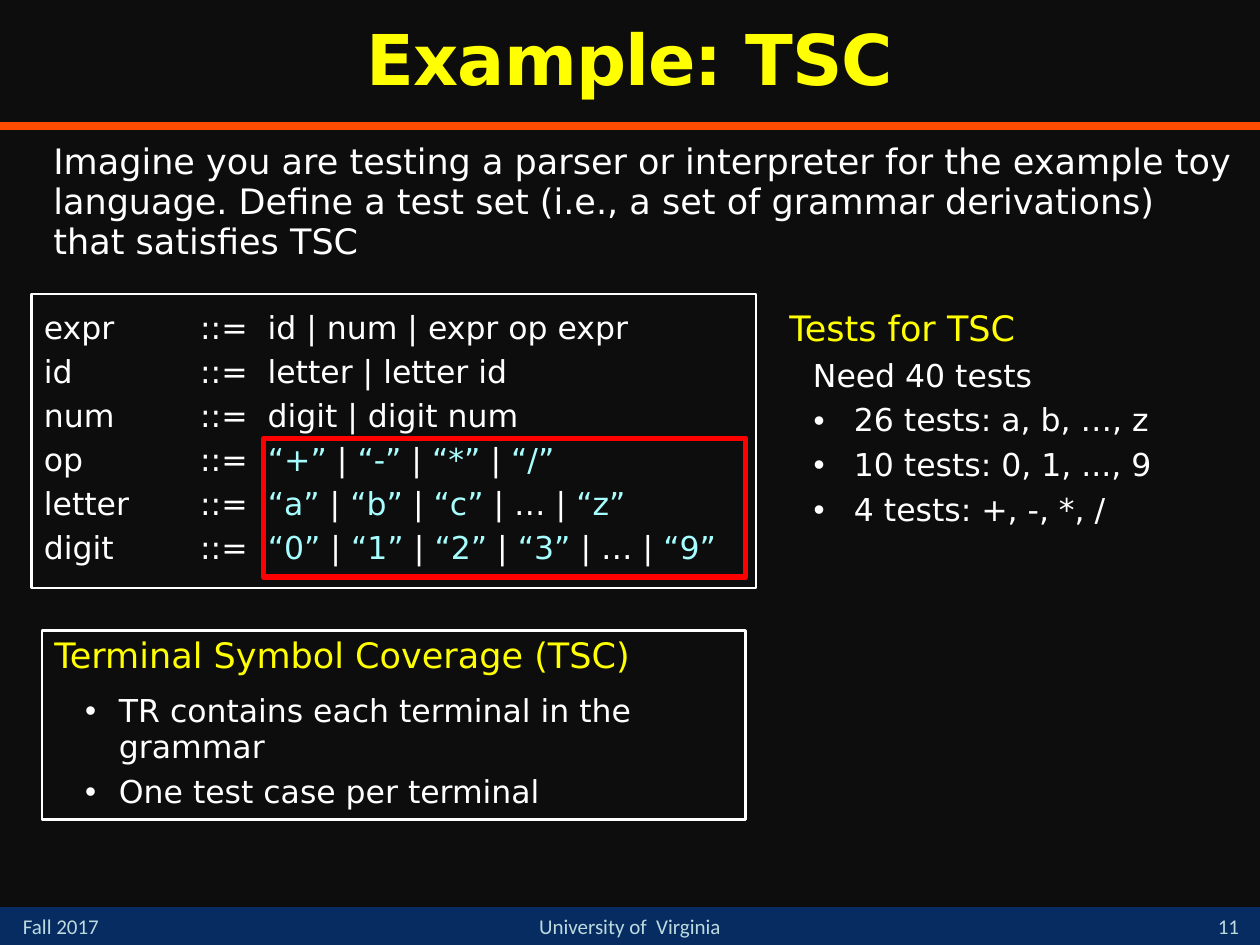
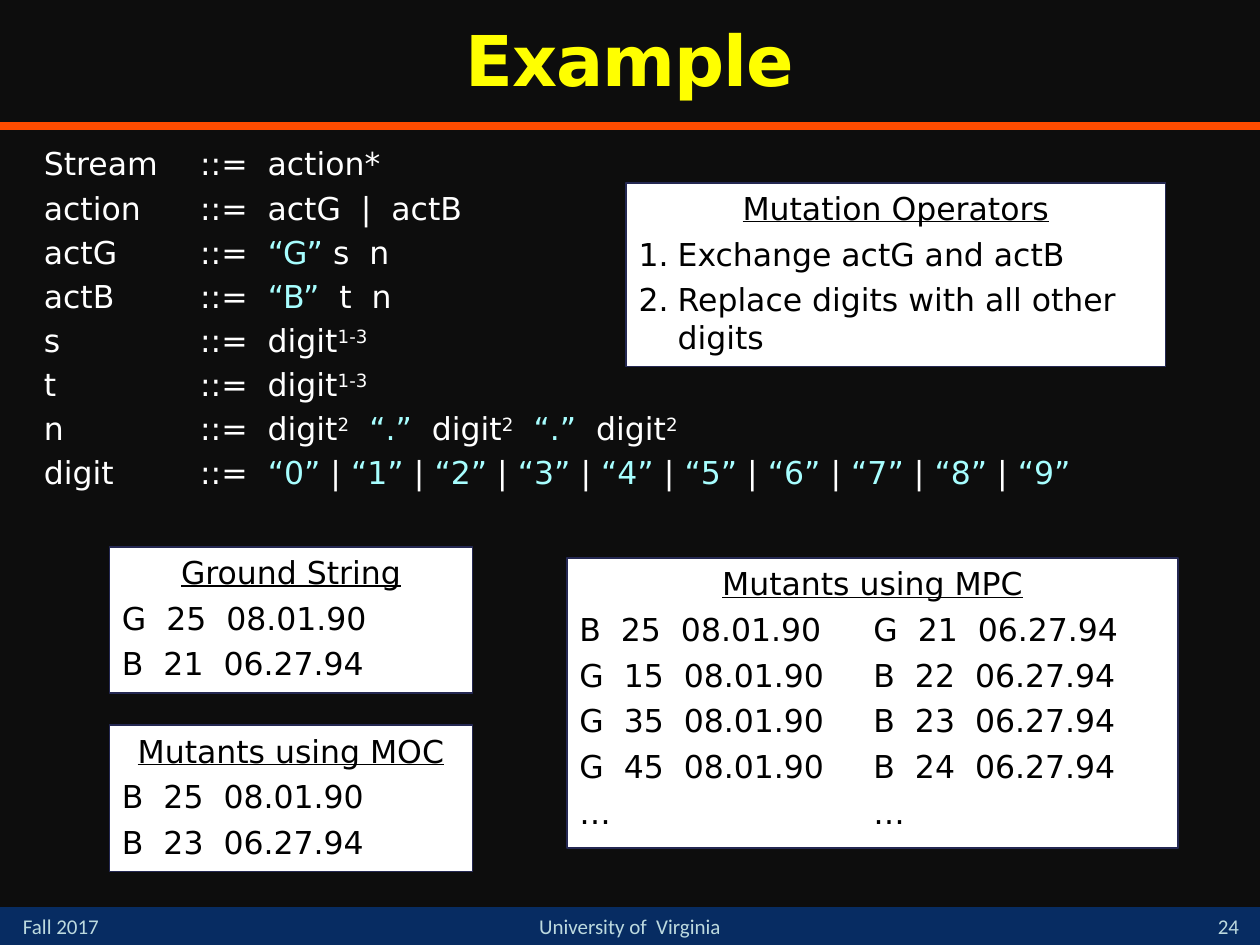
from dataclasses import dataclass, replace

from lxml.etree import SubElement
from pptx import Presentation
from pptx.dml.color import RGBColor
from pptx.enum.shapes import MSO_CONNECTOR, MSO_SHAPE
from pptx.enum.text import MSO_ANCHOR as Anchor, PP_ALIGN as Align
from pptx.oxml.ns import qn
from pptx.util import Pt

# Colours and fonts
NIGHT = RGBColor(0x0D, 0x0D, 0x0D)
NAVY = RGBColor(0x07, 0x2C, 0x62)
ORANGE = RGBColor(0xFF, 0x4C, 0x00)
MIST = RGBColor(0xBD, 0xDA, 0xDF)
YELLOW = RGBColor(0xFF, 0xFF, 0x00)
CYAN = RGBColor(0xA7, 0xFE, 0xFF)
WHITE = RGBColor(0xFF, 0xFF, 0xFF)
BLACK = RGBColor(0x00, 0x00, 0x00)
RED = RGBColor(0xFF, 0x00, 0x00)
INDIGO = RGBColor(0x24, 0x28, 0x52)
BODY_FONT, FOOTER_FONT = "DejaVu Sans", "Calibri"

WIDTH, HEIGHT = 720, 540
BAND_TOP, BAND_HEIGHT = 518.4, 21.6


@dataclass(frozen=True)
class Style:
    size: float = 18
    color: RGBColor = WHITE
    font: str = BODY_FONT
    align: Align = Align.LEFT
    line: float = 1.0
    before: float = 0
    margin: float = 0
    indent: float = 0
    bullet: str = ""
    numbered: bool = False
    tab: float = 0
    bold: bool = False
    underline: bool = False
    tracking: int = 0


TITLE = Style(40, YELLOW, align=Align.CENTER, line=0.9, bold=True, tracking=-50)
FOOTER = Style(12, MIST, FOOTER_FONT)
FOOTER_CENTERED = replace(FOOTER, align=Align.CENTER)
GRAMMAR = Style(line=0.75, before=9, tab=89.3)
INTRO = Style(20, line=0.95, margin=5.4)
HEADING = Style(20, YELLOW, line=0.95)
NOTE = Style(line=0.95, before=5, margin=13.5)
TEST_ITEM = replace(NOTE, margin=36.9, indent=-23, bullet="•")
RULE_ITEM = replace(TEST_ITEM, indent=-19.4)
CARD_ROW = Style(color=BLACK, before=4.5, tab=168)
CARD_TITLE = replace(CARD_ROW, align=Align.CENTER, underline=True)
CARD_STEP = replace(CARD_ROW, margin=22.4, indent=-22.4, numbered=True)


# Text
def add_run(paragraph, text, style, color=None, raised=False):
    run = paragraph.add_run()
    run.text = text
    font = run.font
    font.name, font.size = style.font, Pt(style.size)
    font.bold, font.underline = style.bold, style.underline
    font.color.rgb = color or style.color
    props = run._r.get_or_add_rPr()
    if style.tracking:
        props.set("spc", str(style.tracking))
    if raised:
        props.set("baseline", "30000")


def format_paragraph(paragraph, style):
    paragraph.alignment = style.align
    paragraph.line_spacing = style.line
    paragraph.space_before = Pt(style.before)
    props = paragraph._p.get_or_add_pPr()
    # An explicit zero indent would make LibreOffice drop the tab stops
    if style.margin:
        props.set("marL", str(Pt(style.margin)))
        props.set("indent", str(Pt(style.indent)))
    if style.numbered:
        SubElement(props, qn("a:buAutoNum"), type="arabicPeriod")
    elif style.bullet:
        SubElement(props, qn("a:buFont"), typeface="Arial")
        SubElement(props, qn("a:buChar"), char=style.bullet)
    if style.tab:
        stops = SubElement(props, qn("a:tabLst"))
        SubElement(stops, qn("a:tab"), pos=str(Pt(style.tab)), algn="l")


def new_paragraphs(frame, styles):
    for index, style in enumerate(styles):
        paragraph = frame.add_paragraph() if index else frame.paragraphs[0]
        format_paragraph(paragraph, style)
        yield paragraph


def write_lines(shape, lines, anchor=Anchor.TOP):
    """Fill a shape with (text, style) lines."""
    frame = shape.text_frame
    frame.word_wrap, frame.vertical_anchor = True, anchor
    paragraphs = new_paragraphs(frame, [style for _, style in lines])
    for paragraph, (text, style) in zip(paragraphs, lines):
        add_run(paragraph, text, style)


def write_grammar(shape, productions, anchor=Anchor.TOP):
    """Quoted terminals turn cyan; text between ^ marks is superscript."""
    frame = shape.text_frame
    frame.word_wrap, frame.vertical_anchor = True, anchor
    paragraphs = new_paragraphs(frame, [GRAMMAR] * len(productions))
    for paragraph, (symbol, expansion) in zip(paragraphs, productions):
        add_run(paragraph, f"{symbol}\t::=  ", GRAMMAR)
        for index, piece in enumerate(expansion.split("^")):
            if index % 2:
                add_run(paragraph, piece, GRAMMAR, raised=True)
                continue
            plain, *quoted = piece.split("“")
            if plain:
                add_run(paragraph, plain, GRAMMAR)
            for part in quoted:
                terminal, rest = part.split("”")
                add_run(paragraph, f"“{terminal}”", GRAMMAR, CYAN)
                if rest:
                    add_run(paragraph, rest, GRAMMAR)


# Shapes
def add_text(slide, *box):
    return slide.shapes.add_textbox(*map(Pt, box))


def add_box(slide, *box, fill=None, line=None, weight=1.5):
    shape = slide.shapes.add_shape(MSO_SHAPE.RECTANGLE, *map(Pt, box))
    shape.shadow.inherit = False
    if fill is None:
        shape.fill.background()
    else:
        shape.fill.solid()
        shape.fill.fore_color.rgb = fill
    if line is None:
        shape.line.fill.background()
    else:
        shape.line.color.rgb = line
        shape.line.width = Pt(weight)
    return shape


def add_card(slide, box, title, rows, row_style=CARD_ROW):
    card = add_box(slide, *box, fill=WHITE, line=INDIGO, weight=1)
    write_lines(card, [(title, CARD_TITLE)] + [(row, row_style) for row in rows])


def add_rule(slide, y):
    rule = slide.shapes.add_connector(
        MSO_CONNECTOR.STRAIGHT, Pt(0), Pt(y), Pt(WIDTH), Pt(y))
    rule.line.color.rgb = ORANGE
    rule.line.width = Pt(4.5)
    SubElement(rule._element.spPr, qn("a:effectLst"))


def add_base(deck, title, number, title_top=0, title_style=TITLE):
    """Start a slide with background, footer band, rule and title."""
    slide = deck.slides.add_slide(deck.slide_layouts[6])
    slide.background.fill.solid()
    slide.background.fill.fore_color.rgb = NIGHT
    add_box(slide, 0, BAND_TOP, WIDTH, BAND_HEIGHT, fill=NAVY)
    add_rule(slide, 72)
    write_lines(add_text(slide, 6, BAND_TOP, 84, BAND_HEIGHT),
                [("Fall 2017", FOOTER)])
    write_lines(add_text(slide, 684, 516, 36, 24),
                [(number, FOOTER_CENTERED)], Anchor.BOTTOM)
    write_lines(add_text(slide, 264, BAND_TOP, 192, BAND_HEIGHT),
                [("University of  Virginia", FOOTER_CENTERED)])
    write_lines(add_text(slide, 0, title_top, WIDTH, 72),
                [(title, title_style)], Anchor.MIDDLE)
    return slide


# Slides
def build_coverage_slide(deck):
    slide = add_base(deck, "Example: TSC", "11")
    write_lines(add_box(slide, 24, 360.2, 402, 108, line=WHITE), [
        ("Terminal Symbol Coverage (TSC)", HEADING),
        ("TR contains each terminal in the grammar", replace(RULE_ITEM, before=10)),
        ("One test case per terminal", RULE_ITEM),
    ])
    write_grammar(add_box(slide, 18, 168, 414, 168, line=WHITE), [
        ("expr", "id | num | expr op expr"),
        ("id", "letter | letter id"),
        ("num", "digit | digit num"),
        ("op", "“+” | “-” | “*” | “/”"),
        ("letter", "“a” | “b” | “c” | … | “z”"),
        ("digit", "“0” | “1” | “2” | “3” | … | “9”"),
    ], Anchor.MIDDLE)
    write_lines(add_text(slide, 18, 78, 694, 119.5), [
        ("Imagine you are testing a parser or interpreter for the example toy "
         "language. Define a test set (i.e., a set of grammar derivations) "
         "that satisfies TSC", INTRO),
    ])
    write_lines(add_text(slide, 444, 173.5, 274, 210), [
        ("Tests for TSC", HEADING),
        ("Need 40 tests", NOTE),
        ("26 tests: a, b, …, z", TEST_ITEM),
        ("10 tests: 0, 1, ..., 9", TEST_ITEM),
        ("4 tests: +, -, *, /", TEST_ITEM),
    ])
    # Frame around the terminals
    add_box(slide, 150.5, 250.5, 275.5, 79.2, line=RED, weight=3)


def build_mutation_slide(deck):
    slide = add_base(deck, "Example", "24", 2.5, replace(TITLE, line=0.75))
    write_grammar(add_text(slide, 18, 84, 686, 214.5), [
        ("Stream", "action*"),
        ("action", "actG  |  actB"),
        ("actG", "“G” s  n"),
        ("actB", "“B”  t  n"),
        ("s", "digit^1-3^"),
        ("t", "digit^1-3^"),
        ("n", "digit^2^  “.”  digit^2^  “.”  digit^2^"),
        ("digit", " | ".join(f"“{digit}”" for digit in range(10))),
    ])
    add_card(slide, (62.6, 312.5, 207.4, 83.5), "Ground String",
             ["G  25  08.01.90", "B  21  06.27.94"])
    add_card(slide, (357.8, 104.4, 308.2, 105.1), "Mutation Operators",
             ["Exchange actG and actB", "Replace digits with all other digits"],
             CARD_STEP)
    add_card(slide, (62.6, 414.5, 207.4, 83.5), "Mutants using MOC",
             ["B  25  08.01.90", "B  23  06.27.94"])
    add_card(slide, (324, 319, 349.2, 165.6), "Mutants using MPC", [
        "B  25  08.01.90\tG  21  06.27.94",
        "G  15  08.01.90\tB  22  06.27.94",
        "G  35  08.01.90\tB  23  06.27.94",
        "G  45  08.01.90\tB  24  06.27.94",
        "…\t…",
    ])


def main():
    deck = Presentation()
    deck.slide_width, deck.slide_height = Pt(WIDTH), Pt(HEIGHT)
    build_coverage_slide(deck)
    build_mutation_slide(deck)
    deck.save("out.pptx")


if __name__ == "__main__":
    main()
